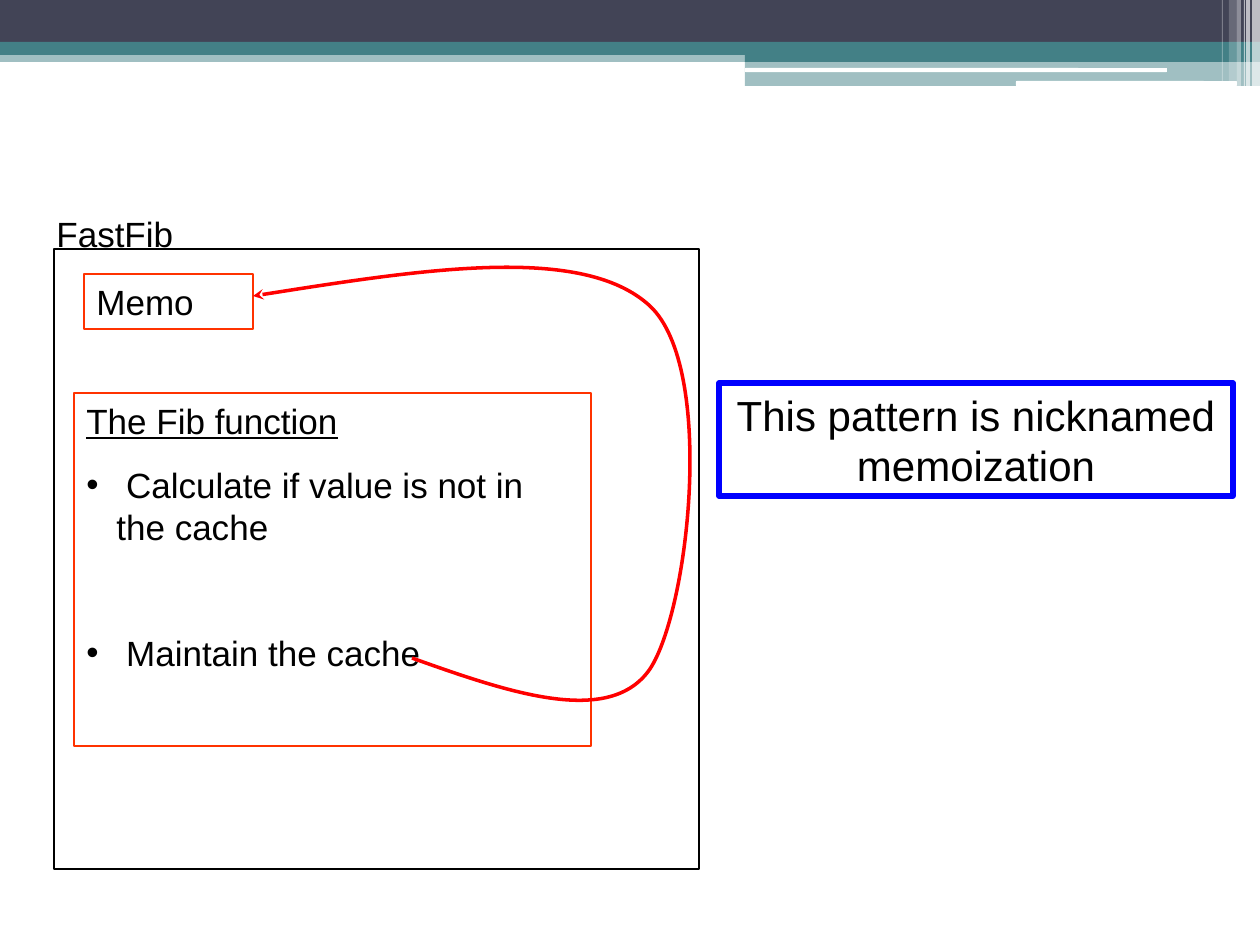
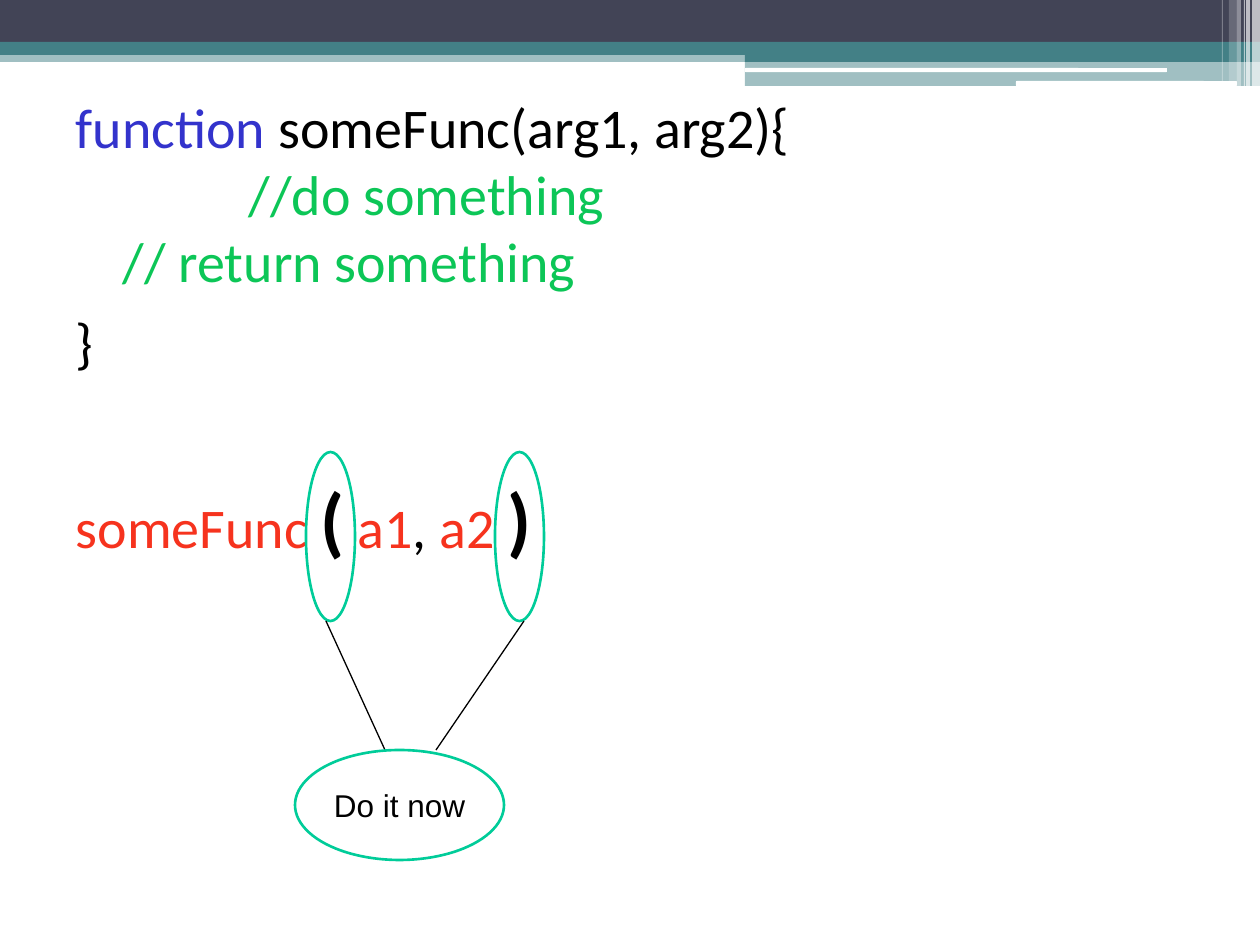
from lxml import etree
from pptx import Presentation
from pptx.dml.color import RGBColor
from pptx.enum.shapes import MSO_CONNECTOR, MSO_SHAPE
from pptx.enum.text import MSO_ANCHOR, MSO_AUTO_SIZE, PP_ALIGN
from pptx.oxml.ns import qn
from pptx.util import Emu, Pt

PX = 914400 / 126
RECT, ROUND, OVAL = MSO_SHAPE.RECTANGLE, MSO_SHAPE.ROUNDED_RECTANGLE, MSO_SHAPE.OVAL
STRAIGHT = MSO_CONNECTOR.STRAIGHT
NO_FIT = MSO_AUTO_SIZE.NONE
TOP, MIDDLE = MSO_ANCHOR.TOP, MSO_ANCHOR.MIDDLE
LEFT, CENTER = PP_ALIGN.LEFT, PP_ALIGN.CENTER

BLACK = RGBColor(0x00, 0x00, 0x00)
WHITE = RGBColor(0xFF, 0xFF, 0xFF)
SLATE = RGBColor(0x42, 0x44, 0x56)
TEAL = RGBColor(0x43, 0x80, 0x86)
ORANGE = RGBColor(0xFF, 0x33, 0x00)
RED = RGBColor(0xFF, 0x00, 0x00)
BLUE = RGBColor(0x00, 0x00, 0xFF)
MINT = RGBColor(0x00, 0xCC, 0x99)
KEYWORD = RGBColor(0x33, 0x33, 0xCC)
COMMENT = RGBColor(0x0C, 0xC6, 0x57)
CALL = RGBColor(0xF6, 0x33, 0x1E)

# shape, left, top, width, height, colour, opacity in percent
BANDS = [
    (RECT, 0, 50, 1260, 12, TEAL, 50),
    (RECT, 0, 0, 1260, 43, SLATE, 100),
    (RECT, 0, 42, 1260, 13, TEAL, 100),
    (RECT, 745, 49, 515, 13, TEAL, 100),
    (RECT, 745, 61, 515, 25, TEAL, 50),
    (ROUND, 745, 68, 422, 4, WHITE, 100),
    (ROUND, 1016, 81, 221, 5, WHITE, 100),
    (RECT, 1252, 0, 8, 86, WHITE, 65),
    (RECT, 1246, 0, 4, 86, WHITE, 65),
    (RECT, 1244, 0, 1, 86, WHITE, 60),
    (RECT, 1237, 0, 4, 86, WHITE, 40),
    (RECT, 1229, 0, 8, 81, WHITE, 20),
    (RECT, 1222, 0, 1, 81, WHITE, 30),
]


def px(n):
    return Emu(round(n * PX))


def add_shape(slide, kind, x, y, w, h, fill=None, line=None, width=0.75):
    sp = slide.shapes.add_shape(kind, px(x), px(y), px(w), px(h))
    sp.shadow.inherit = False
    if fill is None:
        sp.fill.background()
    else:
        sp.fill.solid()
        sp.fill.fore_color.rgb = fill
    if line is None:
        sp.line.fill.background()
    else:
        sp.line.color.rgb = line
        sp.line.width = Pt(width)
    return sp


def set_hanging(p, margin, bullet=None):
    pPr = p._p.get_or_add_pPr()
    pPr.set("marL", str(px(margin)))
    pPr.set("indent", str(px(-margin)))
    if bullet:
        etree.SubElement(pPr, qn("a:buFont")).set("typeface", "Arial")
        etree.SubElement(pPr, qn("a:buChar")).set("char", bullet)
    else:
        etree.SubElement(pPr, qn("a:buNone"))


def add_run(p, text, size, color=BLACK, font="Arial", bold=False, underline=False):
    r = p.add_run()
    r.text = text
    r.font.name = font
    r.font.size = Pt(size)
    r.font.color.rgb = color
    r.font.bold = bold
    r.font.underline = underline


def start_text(sp, align=LEFT, anchor=TOP, wrap=True):
    """Set up the shape's text frame and return its first paragraph."""
    tf = sp.text_frame
    tf.word_wrap = wrap
    tf.auto_size = NO_FIT
    tf.vertical_anchor = anchor
    p = tf.paragraphs[0]
    p.alignment = align
    return p


def add_master_bands(prs, slide):
    """Draw the header bands and move them to the master."""
    tree = prs.slide_master.shapes.element
    for i, (kind, x, y, w, h, color, opacity) in enumerate(BANDS):
        sp = add_shape(slide, kind, x, y, w, h, fill=color)
        if opacity < 100:
            clr = sp._element.spPr.find(".//" + qn("a:srgbClr"))
            etree.SubElement(clr, qn("a:alpha")).set("val", str(opacity * 1000))
        sp._element.nvSpPr.cNvPr.set("id", str(100 + i))
        tree.insert(2 + i, sp._element)


def add_cache_arrow(slide, x, y):
    """Curve from the cache step back to the memo; its points are cubic Béziers."""
    start = (358, 409)
    points = [(456, 444), (556, 478), (596, 420),
              (635, 361), (662, 119), (596, 57),
              (529, -5), (364, 21), (199, 47)]
    builder = slide.shapes.build_freeform(x + start[0], y + start[1], scale=PX)
    builder.add_line_segments([(x + a, y + b) for a, b in points], close=False)
    sp = builder.convert_to_shape()
    sp.shadow.inherit = False
    sp.fill.background()
    sp.line.color.rgb = RED
    sp.line.width = Pt(2)
    etree.SubElement(sp.line._get_or_add_ln(), qn("a:tailEnd")).set("type", "stealth")

    segments = list(sp._element.iter(qn("a:lnTo")))
    path = segments[0].getparent()
    for i in range(0, len(segments), 3):
        curve = etree.SubElement(path, qn("a:cubicBezTo"))
        for segment in segments[i:i + 3]:
            curve.append(segment[0])
            path.remove(segment)


def add_fastfib(slide, x, y, w, h):
    add_shape(slide, RECT, x, y, w, h, line=BLACK)
    label = slide.shapes.add_textbox(px(x - 10), px(y - 43), px(358), px(55))
    add_run(start_text(label), "FastFib", 20)

    fib = add_shape(slide, RECT, x + 20, y + 144, 517, 353, line=ORANGE)
    add_run(start_text(fib), "The Fib function", 20, underline=True)
    steps = [(" Calculate if value is not in the cache", 12.5),
             (" Maintain the cache", 48)]
    for text, gap in steps:
        p = fib.text_frame.add_paragraph()
        p.alignment = LEFT
        p.space_before = Pt(gap)
        set_hanging(p, 30, "•")
        add_run(p, text, 20)

    memo = add_shape(slide, RECT, x + 30, y + 25, 169, 55, line=ORANGE)
    add_run(start_text(memo), "Memo", 20)
    add_cache_arrow(slide, x, y)


def add_pattern_note(slide, x, y, w, h):
    note = add_shape(slide, RECT, x, y, w, h, line=BLUE, width=3)
    add_run(start_text(note, CENTER), "This pattern is nicknamed memoization", 24)


def add_code(slide, x, y, w, h):
    body = slide.placeholders[1]
    body.left, body.top, body.width, body.height = px(x), px(y), px(w), px(h)
    lines = [
        (0, [("function", KEYWORD), (" someFunc(arg1, arg2){", BLACK), None,
             ("\t", BLACK), ("//do something", COMMENT), None,
             ("// return something", COMMENT)]),
        (8, [("}", BLACK)]),
        (55, [("someFunc ", CALL), ("(", BLACK, 44), (" ", BLACK), ("a1", CALL),
              (", ", BLACK), ("a2 ", CALL), (")", BLACK, 44)]),
    ]
    p = start_text(body)
    for i, (gap, runs) in enumerate(lines):
        if i:
            p = body.text_frame.add_paragraph()
        p.alignment = LEFT
        p.space_before = Pt(gap)
        p._p.get_or_add_pPr().set("defTabSz", str(px(126)))
        set_hanging(p, 47)
        for run in runs:
            if run is None:
                p.add_line_break()
                continue
            text, color, *large = run
            add_run(p, text, large[0] if large else 32, color, "Calibri", bold=bool(large))


def add_call_marks(slide, x, y):
    """Ring both parentheses and tie them to the remark below."""
    for ring_x in (11, 200):
        add_shape(slide, OVAL, x + ring_x, y, 49, 169, line=MINT, width=1.5)
    for from_x, to_x in ((31, 90), (229, 141)):
        c = slide.shapes.add_connector(STRAIGHT, px(x + from_x), px(y + 169),
                                       px(x + to_x), px(y + 298))
        c.line.color.rgb = BLACK
        c.line.width = Pt(0.75)
        etree.SubElement(c._element.spPr, qn("a:effectLst"))
    remark = add_shape(slide, OVAL, x, y + 298, 209, 110, line=MINT, width=1.5)
    add_run(start_text(remark, CENTER, MIDDLE, wrap=False), "Do it now", 18)


def main():
    prs = Presentation()
    prs.slide_width, prs.slide_height = px(1260), px(945)

    memo_slide = prs.slides.add_slide(prs.slide_layouts[6])
    add_master_bands(prs, memo_slide)
    add_fastfib(memo_slide, 54, 249, 645, 620)
    add_pattern_note(memo_slide, 719, 383, 514, 113)

    call_slide = prs.slides.add_slide(prs.slide_layouts[1])
    title = call_slide.shapes.title._element
    title.getparent().remove(title)
    add_code(call_slide, 63, 86, 1134, 624)
    add_call_marks(call_slide, 295, 452)

    prs.save("out.pptx")


if __name__ == "__main__":
    main()
